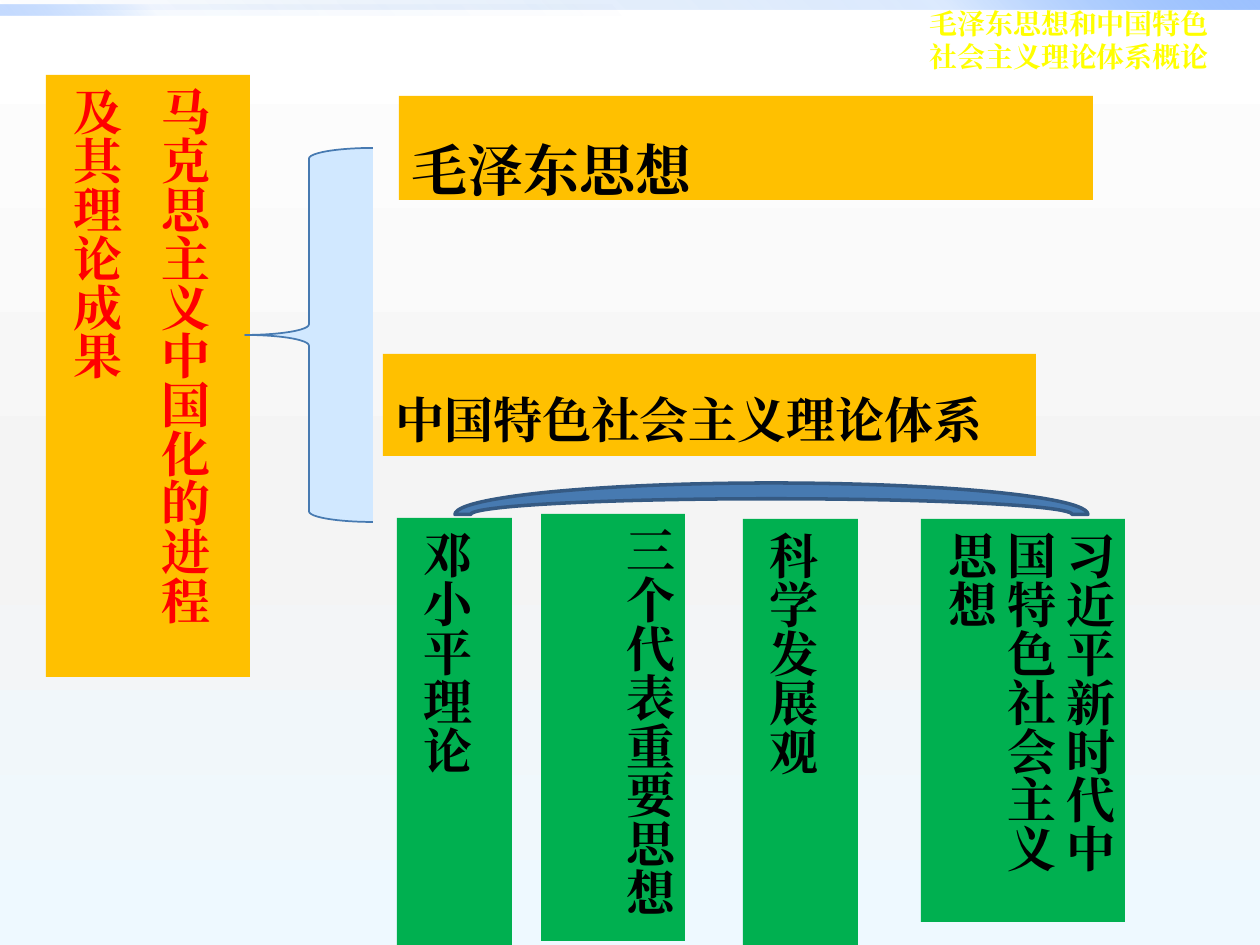
from lxml import etree
from pptx import Presentation
from pptx.dml.color import RGBColor
from pptx.enum.shapes import MSO_SHAPE
from pptx.enum.text import MSO_ANCHOR, MSO_AUTO_SIZE, PP_ALIGN
from pptx.oxml.ns import qn
from pptx.util import Inches, Pt

RECT = MSO_SHAPE.RECTANGLE
BRACE = MSO_SHAPE.LEFT_BRACE
ARC = MSO_SHAPE.BLOCK_ARC
TOP = MSO_ANCHOR.TOP
LEFT = PP_ALIGN.LEFT
FIXED = MSO_AUTO_SIZE.NONE

FONT = "Cambria"
GOLD, GREEN = "FFC000", "00B050"
BLUES = ("0058B7", "4F95FF", "9EC2FF")


def px(n):
    return round(n * Inches(1) / 126)


def rgb(code):
    return RGBColor.from_string(code)


def fade(root, fill, stops, angle):
    """Fill with a gradient of (position, colour, opacity) stops, in percent."""
    fill.gradient()
    grad = root.find(".//" + qn("a:gradFill"))
    track = grad.find(qn("a:gsLst"))
    for old in list(track):
        track.remove(old)
    for pos, code, alpha in stops:
        stop = etree.SubElement(track, qn("a:gs"), pos=str(pos * 1000))
        tint = etree.SubElement(stop, qn("a:srgbClr"), val=code)
        if alpha < 100:
            etree.SubElement(tint, qn("a:alpha"), val=str(alpha * 1000))
    grad.find(qn("a:lin")).set("ang", str(angle * 60000))


def place(shape, box):
    shape.left, shape.top, shape.width, shape.height = map(px, box)


def draw(slide, kind, box, fill=None, line=None, width=1):
    shape = slide.shapes.add_shape(kind, *map(px, box))
    shape.shadow.inherit = False
    if fill:
        shape.fill.solid()
        shape.fill.fore_color.rgb = rgb(fill)
    if line:
        shape.line.color.rgb = rgb(line)
        shape.line.width = Pt(width)
    else:
        shape.line.fill.background()
    return shape


def write(shape, *lines, size=28, color="000000", font=FONT, space=1.0,
          wrap=True, upright=False):
    """Set bold text from the top left, or in columns when upright."""
    frame = shape.text_frame
    frame.text = "\n".join(lines)
    frame.word_wrap = wrap
    frame.auto_size = FIXED
    frame.vertical_anchor = TOP
    if upright:
        frame._txBody.bodyPr.set("vert", "eaVert")
    for par in frame.paragraphs:
        par.alignment = LEFT
        par.line_spacing = space
        for run in par.runs:
            face = run.font
            face.size, face.bold, face.name = Pt(size), True, font
            face.color.rgb = rgb(color)
            asian = etree.Element(qn("a:ea"), typeface=FONT)
            run._r.rPr.find(qn("a:latin")).addnext(asian)


def panel(slide, box, fill, words, **form):
    write(draw(slide, RECT, box, fill), words, **form)


def bar(slide, box, alphas, angle):
    shape = draw(slide, RECT, box)
    fade(shape.element, shape.fill, zip((0, 75, 100), BLUES, alphas), angle)


def main():
    deck = Presentation()
    deck.slide_width, deck.slide_height = px(1260), px(945)
    slide = deck.slides.add_slide(deck.slide_layouts[5])
    fade(slide.element, slide.background.fill,
         [(0, "FFFFFF", 100), (55, "F4F4F4", 100), (100, "EEF9FF", 100)], 90)

    bar(slide, (0, 0, 1260, 10), (0, 20, 100), 315)
    bar(slide, (0, 5, 630, 10), (0, 5, 60), 135)
    title = slide.shapes.title
    place(title, (917, 0, 307, 81))
    write(title, "毛泽东思想和中国特色", "社会主义理论体系概论",
          size=16, color="FFFF00", wrap=False)

    panel(slide, (46, 75, 204, 602), GOLD, "马克思主义中国化的进程及其理论成果",
          color="FF0000", font="Noto Sans CJK JP", space=1.5, upright=True)
    panel(slide, (399, 96, 694, 104), GOLD, "毛泽东思想", size=32, space=1.5)
    panel(slide, (383, 354, 653, 102), GOLD, "中国特色社会主义理论体系", space=1.5)
    draw(slide, BRACE, (245, 148, 128, 374), "D1E8FF", "477AB1")

    theories = [
        ((397, 518, 115, 427), "邓小平理论", 1.5),
        ((541, 514, 144, 427), "三个代表重要思想", 1.0),
        ((743, 519, 115, 427), "科学发展观", 1.5),
        ((921, 519, 204, 403), "习近平新时代中国特色社会主义思想", 1.0),
    ]
    for box, words, space in theories:
        panel(slide, box, GREEN, words, space=space, upright=True)
    draw(slide, ARC, (455, 483, 633, 63), "477AB1", "355A83", 2)

    deck.save("out.pptx")


if __name__ == "__main__":
    main()
